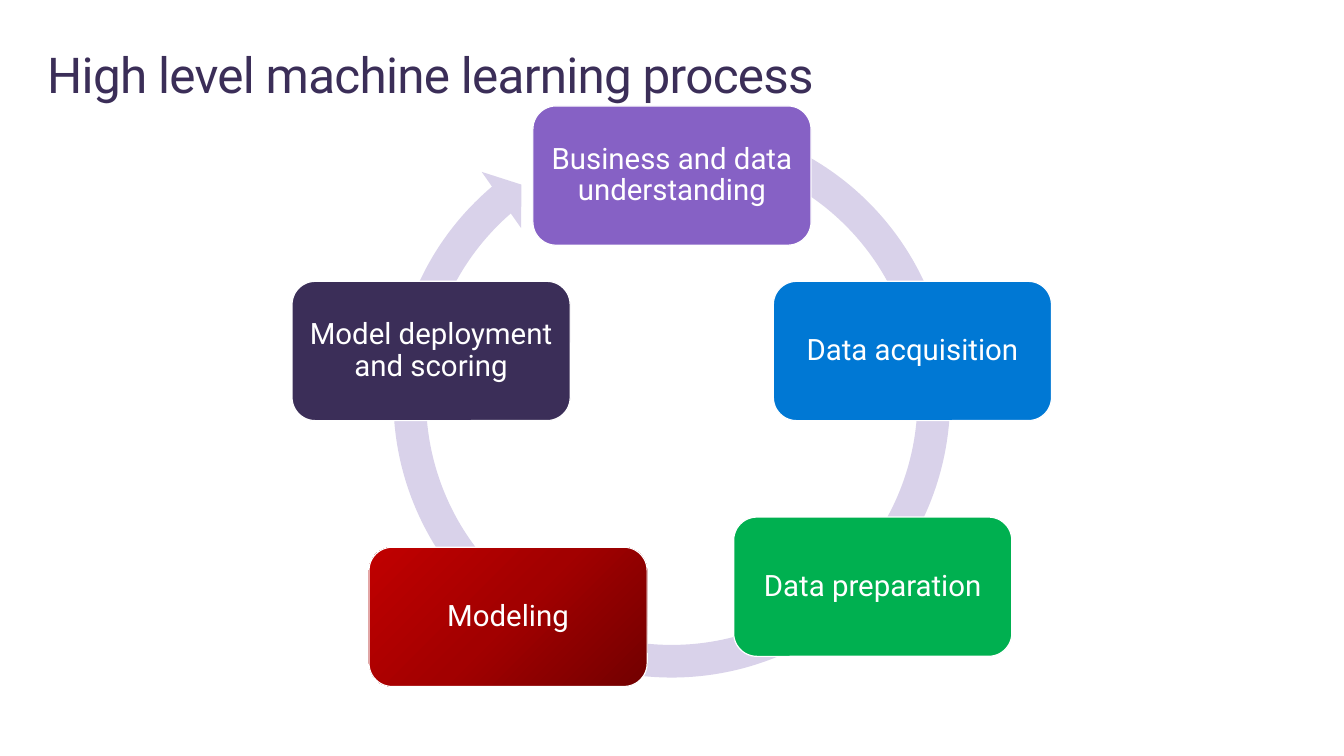
from copy import deepcopy
from pptx import Presentation
from pptx.dml.color import RGBColor as RGB
from pptx.enum.shapes import MSO_SHAPE as Shape
from pptx.enum.text import MSO_ANCHOR as Anchor, MSO_AUTO_SIZE as Fit, PP_ALIGN as Align
from pptx.oxml.ns import qn
from pptx.util import Cm, Pt

HUES = {
    "white": "FFFFFF", "ring": "D9D2EA", "ink": "3B2E58",
    "purple": "8661C5", "blue": "0078D4", "green": "00B050",
    "dark": "720000", "mid": "A20000", "red": "C00000",
}
STEPS = [
    ("Business and data understanding", 13.43, 2.67, ["purple"]),
    ("Data acquisition", 19.49, 7.09, ["blue"]),
    ("Data preparation", 18.49, 13.03, ["green"]),
    ("Modeling", 9.3, 13.79, ["dark", "mid", "red"]),
    ("Model deployment and scoring", 7.36, 7.09, ["ink"]),
]
HEAD = {"margin_left": 0, "margin_top": Cm(0.49), "margin_right": 0,
        "margin_bottom": 0, "vertical_anchor": Anchor.TOP}
BODY = {"margin_left": Cm(0.23), "margin_top": Cm(0.23), "margin_right": Cm(0.23),
        "margin_bottom": Cm(0.23), "vertical_anchor": Anchor.MIDDLE}


def hue(name):
    return RGB.from_string(HUES[name])


def write(shape, text, frame, para, size, color):
    box = shape.text_frame
    box.text = text
    line = box.paragraphs[0]
    font = line.runs[0].font
    font.color.rgb = hue(color)
    face = {"name": "Roboto", "size": Pt(size), "bold": False}
    wrap = {"word_wrap": True, "auto_size": Fit.NONE}
    for item, look in ((box, frame | wrap), (line, para), (font, face)):
        for key, value in look.items():
            setattr(item, key, value)


deck = Presentation()
deck.slide_width, deck.slide_height = Cm(33.87), Cm(19.05)
slide = deck.slides.add_slide(deck.slide_layouts[5])

title = slide.shapes.title
place = {"left": 1.19, "top": 0.61, "width": 31.5, "height": 2.06}
for key, value in place.items():
    setattr(title, key, Cm(value))
write(title, "High level machine learning process", HEAD,
      {"alignment": Align.LEFT}, 35.3, "ink")
title.text_frame.paragraphs[0].runs[0].font._element.set("spc", "-50")

ring = slide.shapes.add_shape(
    Shape.CIRCULAR_ARROW, Cm(9.46), Cm(2.59), Cm(14.94), Cm(14.94))
for i, value in enumerate([0.055, 3.307, 137.676, 173.91, 0.058]):
    ring.adjustments[i] = value
ring.shadow.inherit = False
ring.fill.solid()
ring.fill.fore_color.rgb = hue("ring")
ring.line.fill.background()

for text, left, top, tones in STEPS:
    card = slide.shapes.add_shape(
        Shape.ROUNDED_RECTANGLE, Cm(left), Cm(top), Cm(7.01), Cm(3.51))
    card.shadow.inherit = False
    card.line.color.rgb = hue("white")
    card.line.width = Pt(0.85)
    if len(tones) == 1:
        card.fill.solid()
        card.fill.fore_color.rgb = hue(tones[0])
    else:
        card.fill.gradient()
        card.fill.gradient_angle = 135
        stops = card._element.spPr.find(".//" + qn("a:gsLst"))
        stops.append(deepcopy(stops[0]))
        for i, stop in enumerate(card.fill.gradient_stops):
            stop.position = i / 2
            stop.color.rgb = hue(tones[i])
    write(card, text, BODY, {"alignment": Align.CENTER, "line_spacing": 0.9},
          21, "white")

deck.save("out.pptx")
